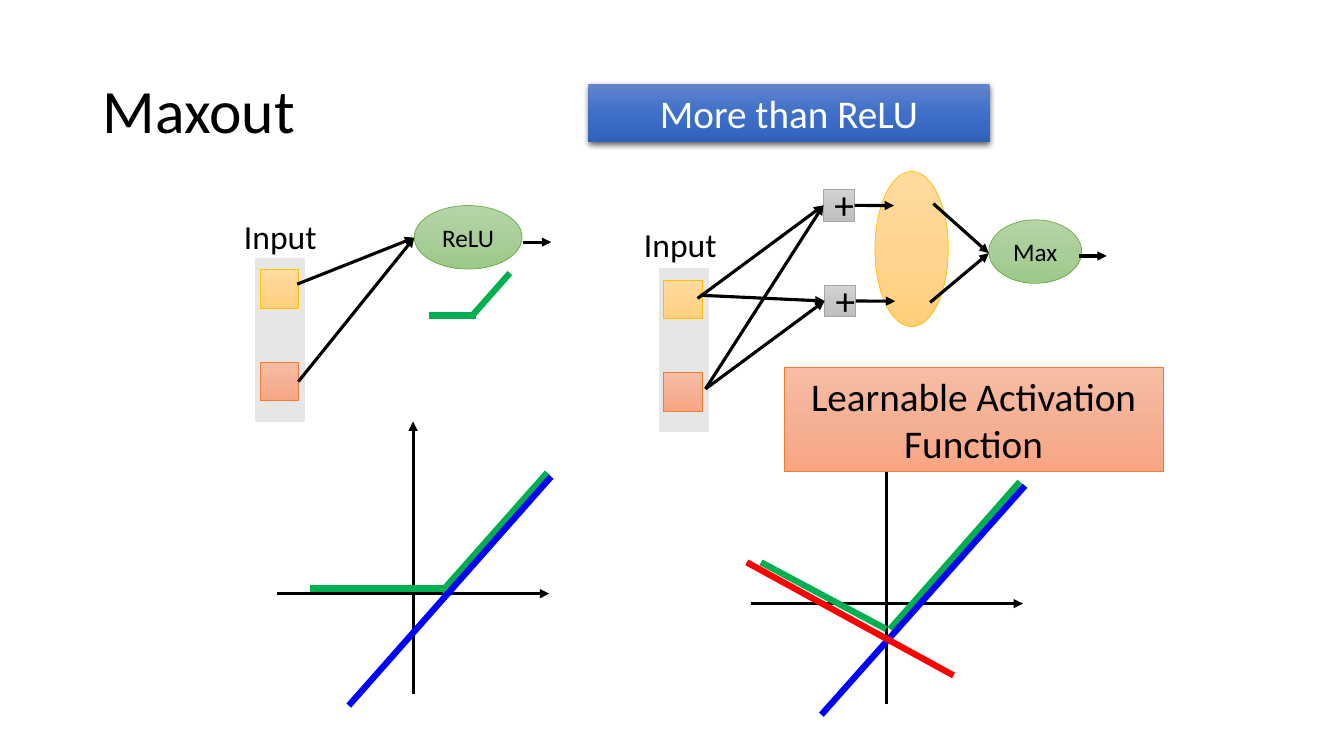
from dataclasses import dataclass
from typing import NamedTuple

from lxml.etree import SubElement as Sub
from copy import deepcopy
from pptx import Presentation
from pptx.dml.color import RGBColor as Rgb
from pptx.enum.shapes import MSO_CONNECTOR as Wire, MSO_SHAPE as Form
from pptx.enum.text import MSO_ANCHOR as Anchor, PP_ALIGN as Align
from pptx.oxml.ns import qn
from pptx.shapes.autoshape import Shape
from pptx.text.text import TextFrame as Frame
from pptx.util import Cm, Pt


class Tone(NamedTuple):
    stops: tuple[str, ...]
    edge: str | None


@dataclass(frozen=True)
class Theme:
    font: str = "Calibri"
    black: str = "000000"
    white: str = "FFFFFF"
    green: str = "00B050"
    blue: str = "0000FF"
    red: str = "FF0000"
    gold: Tone = Tone(("FFDB9E", "FFD590", "FFD07C"), "FFC000")
    peach: Tone = Tone(("F7BDA5", "F5B196", "F8A582"), "ED7D31")
    leaf: Tone = Tone(("B5D5A7", "AACE9A", "9CC987"), "70AD47")
    gray: Tone = Tone(("D2D2D2", "C8C8C8", "C0C0C0"), "A5A5A5")
    navy: Tone = Tone(("6183CB", "3E70CA", "3062BB"), None)
    pale: Tone = Tone(("E7E6E6",), "E7E6E6")
    title: float = 44
    large: float = 28
    label: float = 24
    small: float = 18
    edge: float = 0.5
    thin: float = 2.25
    thick: float = 4.5


class Box(NamedTuple):
    x: float
    y: float
    w: float
    h: float


class Spot(NamedTuple):
    x: float
    y: float


class Pin(NamedTuple):
    shape: Shape
    site: int


@dataclass(frozen=True)
class Arrow:
    start: Spot | Pin
    end: Spot | Pin


@dataclass(frozen=True)
class Curve:
    start: Spot
    end: Spot
    ink: str


T = Theme()
LEFT, RIGHT = 1, 3

deck = Presentation()
deck.slide_width, deck.slide_height = Cm(33.87), Cm(19.05)
slide = deck.slides.add_slide(deck.slide_layouts[6])
shapes = slide.shapes


def write(frame: Frame, text: str, size: float, ink: str, align: Align) -> None:
    frame.word_wrap = True
    frame.text = text
    para = frame.paragraphs[0]
    para.alignment = align
    font = para.runs[0].font
    font.name, font.size = T.font, Pt(size)
    font.color.rgb = Rgb.from_string(ink)


def label(box: Box, text: str, size: float, align: Align = Align.CENTER) -> Frame:
    frame = shapes.add_textbox(*map(Cm, box)).text_frame
    write(frame, text, size, T.black, align)
    return frame


def block(form: Form, box: Box, tone: Tone, text: str = "",
          size: float = T.large, ink: str = T.black) -> Shape:
    shape = shapes.add_shape(form, *map(Cm, box))
    shape.shadow.inherit = False
    fill = shape.fill
    if len(tone.stops) == 1:
        fill.solid()
        fill.fore_color.rgb = Rgb.from_string(tone.stops[0])
    else:
        fill.gradient()
        fill.gradient_angle = 270
        first = shape.element.spPr.find(".//" + qn("a:gs"))
        first.addnext(deepcopy(first))
        for i, stop in enumerate(fill.gradient_stops):
            stop.position = i / 2
            stop.color.rgb = Rgb.from_string(tone.stops[i])
    if tone.edge:
        shape.line.color.rgb = Rgb.from_string(tone.edge)
        shape.line.width = Pt(T.edge)
    else:
        shape.line.fill.background()
    if text:
        shape.text_frame.vertical_anchor = Anchor.MIDDLE
        write(shape.text_frame, text, size, ink, Align.CENTER)
    return shape


def link(start: Spot | Pin, end: Spot | Pin, ink: str, width: float, head: bool) -> None:
    a, b = (p if isinstance(p, Spot) else Spot(0, 0) for p in (start, end))
    wire = shapes.add_connector(Wire.STRAIGHT, *map(Cm, (*a, *b)))
    if isinstance(start, Pin):
        wire.begin_connect(*start)
    if isinstance(end, Pin):
        wire.end_connect(*end)
    wire.line.color.rgb = Rgb.from_string(ink)
    wire.line.width = Pt(width)
    props = wire.element.spPr
    if head:
        Sub(props.find(qn("a:ln")), qn("a:tailEnd"), type="triangle")
    Sub(props, qn("a:effectLst"))


def point(*arrows: Arrow) -> None:
    for arrow in arrows:
        link(arrow.start, arrow.end, T.black, T.thin, True)


def plot(*curves: Curve) -> None:
    for curve in curves:
        link(curve.start, curve.end, curve.ink, T.thick, False)


def stack(x: float, y: float, name: Spot) -> Shape:
    block(Form.RECTANGLE, Box(x, y, 1.24, 4.11), T.pale)
    block(Form.RECTANGLE, Box(x + 0.12, y + 0.3, 0.97, 0.97), T.gold)
    label(Box(*name, 3.15, 1.27), "Input", T.label)
    return block(Form.RECTANGLE, Box(x + 0.12, y + 2.63, 0.97, 0.97), T.peach)


def adder(x: float, y: float) -> Shape:
    shape = block(Form.RECTANGLE, Box(x, y, 0.79, 0.79), T.gray)
    label(Box(x + 0.03, y - 0.36, 0.84, 1.45), "+", T.large)
    return shape


def axes(x: float, y: float) -> None:
    point(Arrow(Spot(x - 3.42, y), Spot(x + 3.43, y)),
          Arrow(Spot(x, y + 2.53), Spot(x, y - 4.34)))


title = label(Box(2.34, 1.02, 29.21, 3.68), "Maxout", T.title, Align.LEFT)
title.vertical_anchor = Anchor.MIDDLE
title.paragraphs[0].line_spacing = 0.9

block(Form.OVAL, Box(22.05, 4.32, 1.85, 3.91), T.gold)
block(Form.OVAL, Box(24.92, 5.54, 2.34, 1.6), T.leaf, "Max", T.small)
stack(16.61, 6.76, Spot(15.57, 5.51))
top, low = (adder(20.75 + 0.03 * i, 4.78 + 2.41 * i) for i in range(2))
base, peak = Spot(17.78, 9.8), Spot(24.92, 6.38)
point(Arrow(Pin(top, RIGHT), Spot(22.53, 5.18)),
      Arrow(Pin(low, RIGHT), Spot(22.56, 7.59)),
      Arrow(Spot(27.18, 6.45), Spot(27.89, 6.45)),
      Arrow(Spot(17.58, 7.52), Pin(top, LEFT)),
      Arrow(Spot(17.65, 7.44), Pin(low, LEFT)),
      Arrow(base, Pin(top, LEFT)),
      Arrow(base, Pin(low, LEFT)),
      Arrow(Spot(23.52, 5.13), peak),
      Arrow(Spot(23.44, 7.62), peak))

axes(10.41, 14.96)
plot(Curve(Spot(7.82, 14.83), Spot(11.25, 14.83), T.green),
     Curve(Spot(11.13, 14.91), Spot(13.79, 11.91), T.green))
cell = stack(6.43, 6.5, Spot(5.49, 5.31))
block(Form.OVAL, Box(10.44, 5.18, 2.72, 1.6), T.leaf, "ReLU", T.small)
gate = Spot(10.44, 5.99)
point(Arrow(Spot(13.18, 6.1), Spot(13.89, 6.1)),
      Arrow(Spot(7.49, 7.16), gate),
      Arrow(Pin(cell, RIGHT), gate))
plot(Curve(Spot(8.79, 17.78), Spot(13.89, 12.01), T.blue),
     Curve(Spot(10.8, 7.95), Spot(11.99, 7.95), T.green),
     Curve(Spot(11.86, 8), Spot(12.85, 6.88), T.green))

axes(22.35, 15.21)
plot(Curve(Spot(22.43, 15.85), Spot(25.7, 12.14), T.green),
     Curve(Spot(20.7, 18.01), Spot(25.83, 12.24), T.blue),
     Curve(Spot(19.18, 14.17), Spot(22.33, 15.85), T.green),
     Curve(Spot(18.82, 14.17), Spot(24.03, 17.02), T.red))

block(Form.RECTANGLE, Box(19.76, 9.25, 9.55, 2.64), T.peach, "Learnable Activation Function")
sign = block(Form.RECTANGLE, Box(14.83, 2.13, 10.11, 1.45), T.navy, "More than ReLU", ink=T.white)
shade = Sub(sign.element.spPr.find(qn("a:effectLst")), qn("a:outerShdw"),
            blurRad=str(Pt(4.5)), dist=str(Pt(1.5)), dir="5400000", rotWithShape="0")
Sub(Sub(shade, qn("a:srgbClr"), val=T.black), qn("a:alpha"), val="63000")

deck.save("out.pptx")
